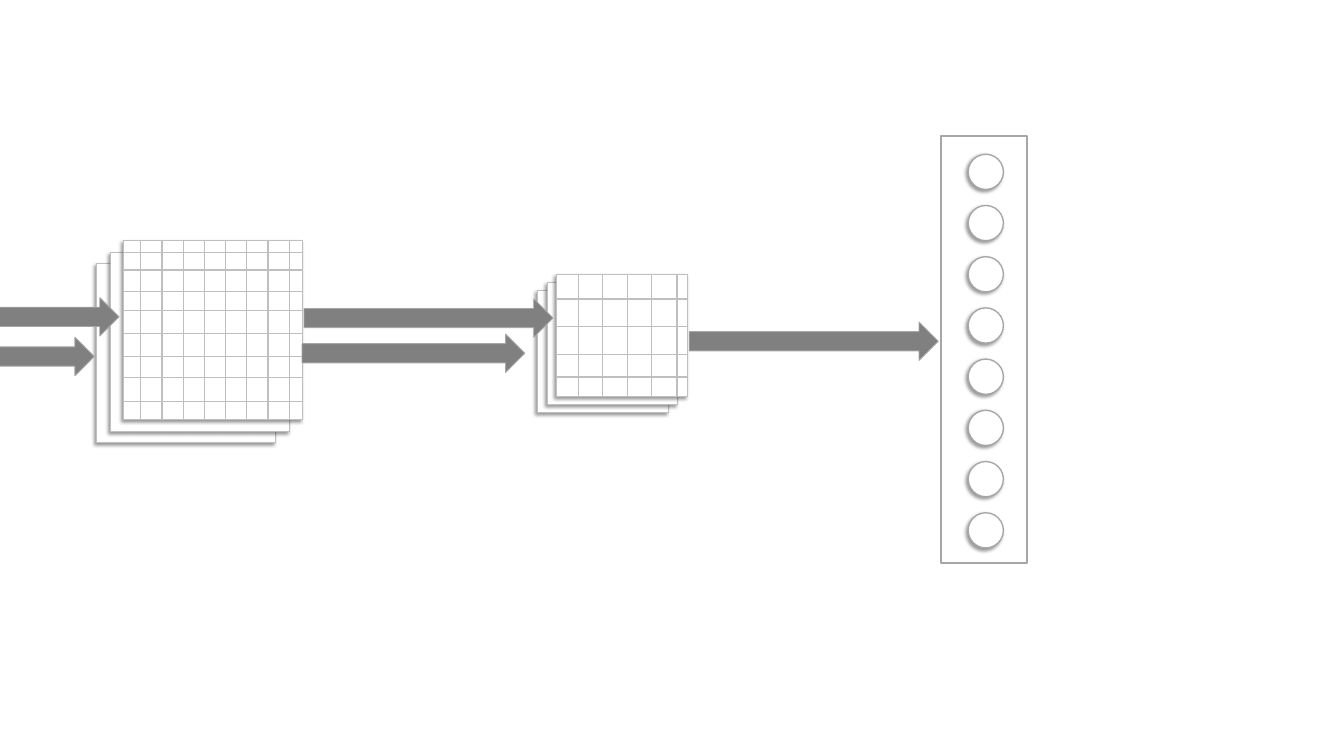
from lxml.etree import SubElement
from pptx import Presentation
from pptx.dml.color import RGBColor
from pptx.enum.shapes import MSO_CONNECTOR, MSO_SHAPE
from pptx.oxml.ns import qn
from pptx.util import Pt

THEME = {
    "paper": "FFFFFF",
    "arrow": "808080",
    "outline": "A6A6A6",
    "grid": "BFBFBF",
    "shadow": "000000",
}
SLIDE_SIZE = (1512, 850.32)

# Feature maps: back layer position, layer size, step to the next layer,
# then the grid lines drawn over the front layer.
INPUT_MAPS = {
    "origin": (108.7, 296.6),
    "size": (201.6, 201.6),
    "step": (15.12, -12.96),
    "columns": [158.4 + 23.86 * i for i in range(8)],
    "rows": [283.7, 303.8, 327.6, 349.2, 375.1, 401, 424.8, 451.4],
}
POOLED_MAPS = {
    "origin": (604.8, 326.9),
    "size": (146.9, 136.8),
    "step": (10.8, -9),
    "columns": [650.9, 677.5, 706.3, 733, 761.8],
    "rows": [336.2, 367.2, 398.9, 424.1],
}
LAYER_COUNT = 3

# Arrows: left, top, length
LONG, SHORT, ARROW_HEIGHT = 280.1, 250.6, 43.2
INPUT_ARROWS = [(-146.2, 334.8, LONG), (-144.7, 379.4, SHORT)]
OUTPUT_ARROWS = [(342, 336.2, LONG), (339.8, 375.8, SHORT), (775.4, 362.2, LONG)]

DENSE_FRAME = (1058.4, 153.4, 97.2, 480.2)
NEURON = {"left": 1089.2, "top": 173.5, "size": 39.6, "pitch": 57.6, "count": 8}


def colour(name):
    return RGBColor.from_string(THEME[name])


def add_shadow(shape):
    """Cast a soft shadow towards the lower left."""
    effects = shape._element.spPr.find(qn("a:effectLst"))
    shadow = SubElement(effects, qn("a:outerShdw"), blurRad=str(Pt(4)),
                        dist=str(Pt(3)), dir=str(135 * 60000),
                        algn="tr", rotWithShape="0")
    tint = SubElement(shadow, qn("a:srgbClr"), val=THEME["shadow"])
    SubElement(tint, qn("a:alpha"), val="40000")


def add_outlined(shapes, kind, box, fill, line, width, shadow=False):
    shape = shapes.add_shape(kind, *map(Pt, box))
    shape.shadow.inherit = False
    shape.fill.solid()
    shape.fill.fore_color.rgb = colour(fill)
    shape.line.color.rgb = colour(line)
    shape.line.width = Pt(width)
    if shadow:
        add_shadow(shape)


def add_grid_line(shapes, *ends):
    line = shapes.add_connector(MSO_CONNECTOR.STRAIGHT, *map(Pt, ends))
    line.line.color.rgb = colour("grid")
    line.line.width = Pt(1.5)
    SubElement(line._element.spPr, qn("a:effectLst"))


def add_feature_maps(slide, maps):
    shapes = slide.shapes.add_group_shape().shapes
    width, height = maps["size"]
    for layer in range(LAYER_COUNT):
        left, top = (start + layer * step
                     for start, step in zip(maps["origin"], maps["step"]))
        add_outlined(shapes, MSO_SHAPE.RECTANGLE, (left, top, width, height),
                     "paper", "grid", 1, shadow=True)
    for x in maps["columns"]:
        add_grid_line(shapes, x, top, x, top + height)
    for y in maps["rows"]:
        add_grid_line(shapes, left, y, left + width, y)


def add_arrows(slide, arrows):
    for left, top, length in arrows:
        add_outlined(slide.shapes, MSO_SHAPE.RIGHT_ARROW,
                     (left, top, length, ARROW_HEIGHT), "arrow", "outline", 1)


def add_dense_layer(slide):
    shapes = slide.shapes.add_group_shape().shapes
    add_outlined(shapes, MSO_SHAPE.RECTANGLE, DENSE_FRAME, "paper", "outline", 2.25)
    size = NEURON["size"]
    for i in range(NEURON["count"]):
        top = NEURON["top"] + i * NEURON["pitch"]
        add_outlined(shapes, MSO_SHAPE.OVAL, (NEURON["left"], top, size, size),
                     "paper", "outline", 1.5, shadow=True)


def main():
    presentation = Presentation()
    presentation.slide_width, presentation.slide_height = map(Pt, SLIDE_SIZE)
    slide = presentation.slides.add_slide(presentation.slide_layouts[6])
    slide.background.fill.solid()
    slide.background.fill.fore_color.rgb = colour("paper")
    add_feature_maps(slide, INPUT_MAPS)
    add_arrows(slide, INPUT_ARROWS)
    add_feature_maps(slide, POOLED_MAPS)
    add_arrows(slide, OUTPUT_ARROWS)
    add_dense_layer(slide)
    presentation.save("out.pptx")


if __name__ == "__main__":
    main()
